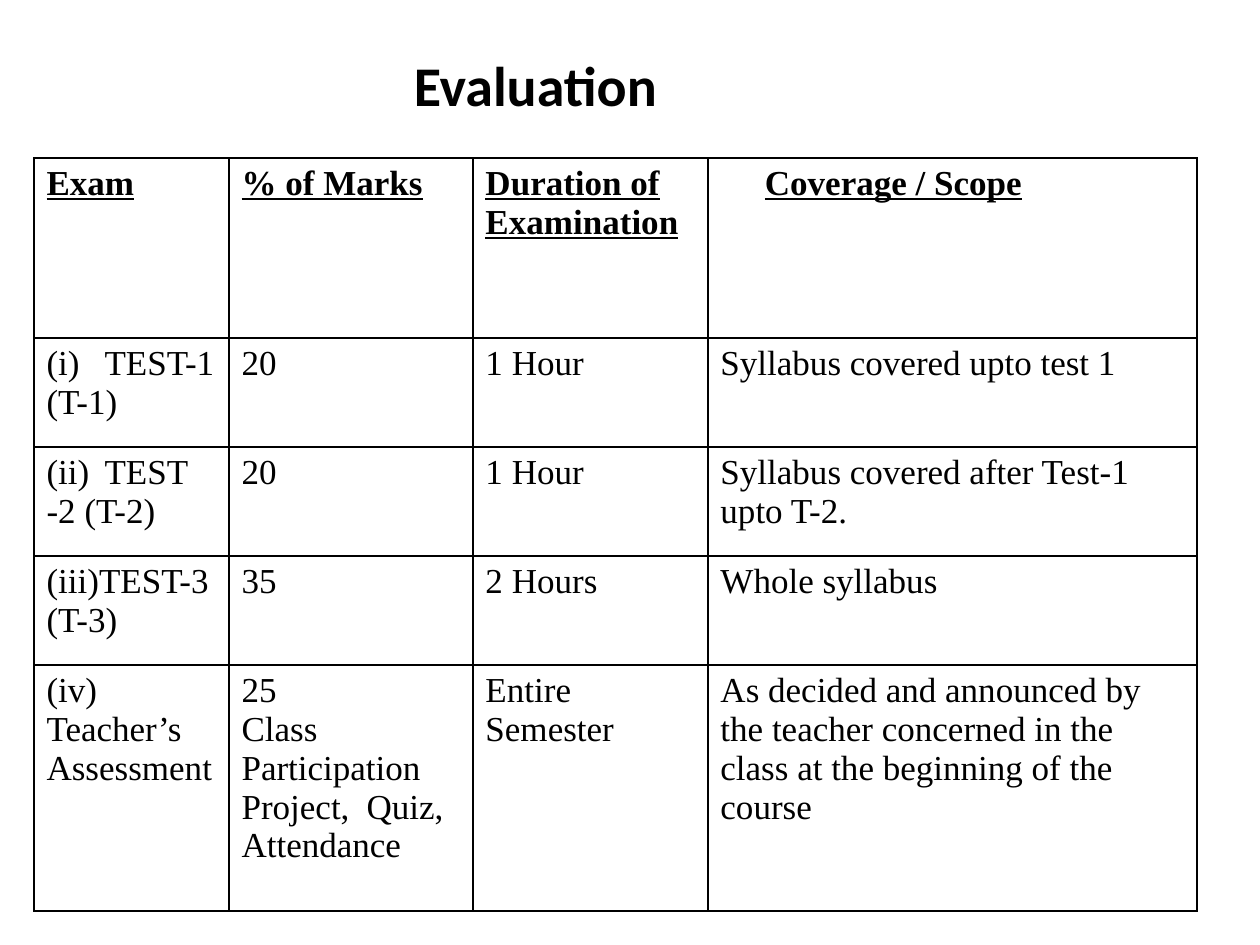
"""Build the Evaluation slide with its table of exams."""
from dataclasses import dataclass

import lxml.etree
import pptx
import pptx.dml.color
import pptx.enum.text
import pptx.oxml.ns
import pptx.util

EMU_PER_PX = 914400 // 126
BLACK = "000000"


@dataclass
class Column:
    """Width and tab stop of one table column."""
    width: int
    tab_stop: int = 0


@dataclass
class ExamRow:
    """One row of the table, with lines of a cell split by newlines."""
    height: int
    exam: str
    marks: str
    duration: str
    scope: str
    header: bool = False

    def texts(self) -> tuple[str, ...]:
        """Return the cell texts from left to right."""
        return self.exam, self.marks, self.duration, self.scope


COLUMNS = (Column(195, 58), Column(244, 125), Column(235), Column(489))
ROWS = (
    ExamRow(180, "Exam", "% of Marks", "Duration of Examination", "Coverage / Scope", True),
    ExamRow(109, "(i)\tTEST-1 (T-1)", "20", "1 Hour", "Syllabus covered upto test 1"),
    ExamRow(109, "(ii)\tTEST -2 (T-2)", "20", "1 Hour",
            "Syllabus covered after Test-1 upto T-2."),
    ExamRow(109, "(iii)TEST-3 (T-3)", "35", "2 Hours", "Whole syllabus"),
    ExamRow(246, "(iv) Teacher’s Assessment",
            "25\nClass Participation\nProject,\tQuiz, Attendance", "Entire Semester",
            "As decided and announced by the teacher concerned in the class "
            "at the beginning of the course"),
)


def px(n: int) -> pptx.util.Emu:
    """Turn pixels into EMU."""
    return pptx.util.Emu(n * EMU_PER_PX)


def rgb(color: str) -> pptx.dml.color.RGBColor:
    """Turn a hex string into a colour."""
    return pptx.dml.color.RGBColor.from_string(color)


def add_run(p, text: str, font: str, size: int, bold: bool, underline: bool = False) -> None:
    """Add one formatted run to a paragraph."""
    r = p.add_run()
    r.text = text
    r.font.name = font
    r.font.size = pptx.util.Pt(size)
    r.font.bold = bold
    r.font.underline = underline
    r.font.color.rgb = rgb(BLACK)


def add_tab_stop(p, position: int) -> None:
    """Give a paragraph a left tab stop."""
    qn = pptx.oxml.ns.qn
    tabs = lxml.etree.SubElement(p._p.get_or_add_pPr(), qn("a:tabLst"))
    lxml.etree.SubElement(tabs, qn("a:tab"), pos=str(px(position)), algn="l")


def add_borders(cell, color: str) -> None:
    """Draw a one-point line on all four sides of a cell."""
    qn = pptx.oxml.ns.qn
    tc_pr = cell._tc.get_or_add_tcPr()
    for side in ("L", "R", "T", "B"):
        ln = lxml.etree.SubElement(tc_pr, qn(f"a:ln{side}"), w=str(pptx.util.Pt(1)))
        fill = lxml.etree.SubElement(ln, qn("a:solidFill"))
        lxml.etree.SubElement(fill, qn("a:srgbClr"), val=color)


def fill_cell(cell, text: str, tab_stop: int, header: bool) -> None:
    """Write and format one cell."""
    add_borders(cell, BLACK)
    cell.fill.background()
    tf = cell.text_frame
    for i, line in enumerate(text.split("\n")):
        p = tf.add_paragraph() if i else tf.paragraphs[0]
        if "\t" in line:
            add_tab_stop(p, tab_stop)
        add_run(p, line, "Times New Roman", 20, header, header)


def add_title(s, text: str) -> None:
    """Place and fill the title placeholder."""
    sp = s.shapes.title
    sp.left, sp.top, sp.width, sp.height = px(0), px(5), px(1071), px(158)
    tf = sp.text_frame
    tf.vertical_anchor = pptx.enum.text.MSO_ANCHOR.MIDDLE
    p = tf.paragraphs[0]
    p.alignment = pptx.enum.text.PP_ALIGN.CENTER
    add_run(p, text, "Calibri", 32, True)


def add_exam_table(s) -> None:
    """Add the table of exams."""
    width = sum(column.width for column in COLUMNS)
    height = sum(row.height for row in ROWS)
    table = s.shapes.add_table(len(ROWS), len(COLUMNS), px(34), px(158),
                               px(width), px(height)).table
    table.first_row = table.horz_banding = False
    for j, column in enumerate(COLUMNS):
        table.columns[j].width = px(column.width)
    for i, row in enumerate(ROWS):
        table.rows[i].height = px(row.height)
        for j, (column, text) in enumerate(zip(COLUMNS, row.texts())):
            fill_cell(table.cell(i, j), text, column.tab_stop, row.header)
    table.cell(0, len(COLUMNS) - 1).margin_left = px(57)


def main() -> None:
    """Build and save the slide."""
    prs = pptx.Presentation()
    prs.slide_width, prs.slide_height = px(1260), px(945)
    s = prs.slides.add_slide(prs.slide_layouts[5])
    add_title(s, "Evaluation")
    add_exam_table(s)
    prs.save("out.pptx")


main()
